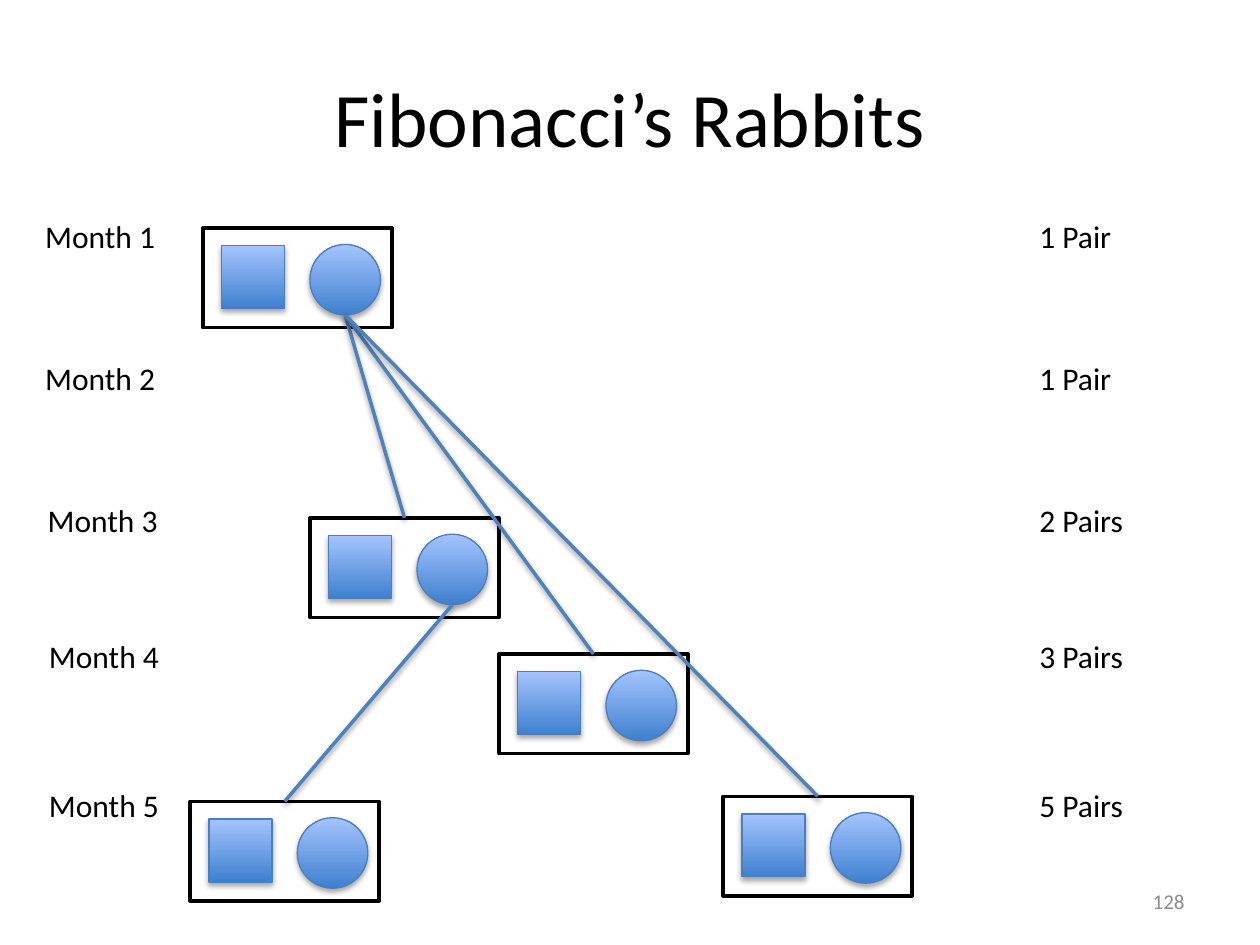
"""Build a slide that shows the family tree of Fibonacci's rabbits month by month."""
import pptx
import pptx.dml.color
import pptx.enum.shapes
import pptx.enum.text
import pptx.oxml.ns
import pptx.util
from lxml import etree

Inches = pptx.util.Inches
Pt = pptx.util.Pt
RGBColor = pptx.dml.color.RGBColor
Shape = pptx.enum.shapes.MSO_SHAPE
Align = pptx.enum.text.PP_ALIGN
Anchor = pptx.enum.text.MSO_ANCHOR
qn = pptx.oxml.ns.qn

COLORS = {
    "text": "000000",
    "number": "8C8C8C",
    "bottom": "3F80CE",
    "top": "A4C4FF",
    "outline": "4B7EBC",
    "link": "4F81BD",
}


def add_shadow(shape, distance, opacity):
    effects = etree.SubElement(shape.element.spPr, qn("a:effectLst"))
    shadow = etree.SubElement(
        effects, qn("a:outerShdw"), blurRad="40000", dist=str(Pt(distance)),
        dir="5400000", rotWithShape="0")
    color = etree.SubElement(shadow, qn("a:srgbClr"), val="000000")
    etree.SubElement(color, qn("a:alpha"), val=str(opacity * 1000))


def write_text(shape, text, size, color, alignment):
    paragraph = shape.text_frame.paragraphs[0]
    paragraph.alignment = alignment
    run = paragraph.add_run()
    run.text = text
    run.font.name = "Calibri"
    run.font.size = Pt(size)
    run.font.color.rgb = RGBColor.from_string(COLORS[color])


presentation = pptx.Presentation()
presentation.slide_width = Inches(10)
presentation.slide_height = Inches(7.5)
slide = presentation.slides.add_slide(presentation.slide_layouts[5])

title = slide.shapes.title
title.left, title.top = Inches(0.5), Inches(0.3)
title.width, title.height = Inches(9), Inches(1.25)
title.text_frame.vertical_anchor = Anchor.MIDDLE
write_text(title, "Fibonacci’s Rabbits", 44, "text", Align.CENTER)

number = slide.shapes.add_textbox(Inches(7.17), Inches(6.95), Inches(2.33), Inches(0.4))
number.text_frame.word_wrap = True
number.text_frame.vertical_anchor = Anchor.MIDDLE
write_text(number, "128", 12, "number", Align.RIGHT)

months = [
    (0.26, 1.67, "1 Pair"),
    (0.26, 2.8, "1 Pair"),
    (0.28, 3.93, "2 Pairs"),
    (0.29, 5.01, "3 Pairs"),
    (0.29, 6.19, "5 Pairs"),
]
for month, (month_left, top, pairs) in enumerate(months, start=1):
    pairs_width = 0.89 if pairs.endswith("s") else 0.78
    for left, width, text in [(month_left, 1.09, f"Month {month}"), (8.15, pairs_width, pairs)]:
        label = slide.shapes.add_textbox(Inches(left), Inches(top), Inches(width), Inches(0.4))
        label.text_frame.word_wrap = False
        label.text_frame.auto_size = pptx.enum.text.MSO_AUTO_SIZE.SHAPE_TO_FIT_TEXT
        write_text(label, text, 18, "text", Align.LEFT)

pair_positions = {
    "first": (1.61, 1.81),
    "month 3": (2.46, 4.11),
    "month 4": (3.96, 5.19),
    "grandchildren": (1.51, 6.36),
    "month 5": (5.74, 6.32),
}
rabbits = [(Shape.RECTANGLE, 0.15, 0.14, 0.5), (Shape.OVAL, 0.85, 0.13, 0.56)]
frames, females = {}, {}
for name, (left, top) in pair_positions.items():
    group = slide.shapes.add_group_shape()
    for kind, offset_x, offset_y, size in rabbits:
        rabbit = group.shapes.add_shape(
            kind, Inches(left + offset_x), Inches(top + offset_y), Inches(size), Inches(size))
        rabbit.fill.gradient()
        rabbit.fill.gradient_angle = 90
        for stop, color in zip(rabbit.fill.gradient_stops, ("bottom", "top")):
            stop.color.rgb = RGBColor.from_string(COLORS[color])
        rabbit.line.color.rgb = RGBColor.from_string(COLORS["outline"])
        rabbit.line.width = Pt(0.75)
        add_shadow(rabbit, 1.8, 35)
    females[name] = rabbit
    frame = group.shapes.add_shape(
        Shape.RECTANGLE, Inches(left), Inches(top), Inches(1.5), Inches(0.79))
    frame.shadow.inherit = False
    frame.fill.background()
    frame.line.color.rgb = RGBColor.from_string(COLORS["text"])
    frame.line.width = Pt(2)
    frames[name] = frame

births = [
    ("first", "month 3"),
    ("first", "month 4"),
    ("first", "month 5"),
    ("month 3", "grandchildren"),
]
for parent, child in births:
    mother, frame = females[parent], frames[child]
    link = slide.shapes.add_connector(
        pptx.enum.shapes.MSO_CONNECTOR.STRAIGHT,
        mother.left + mother.width // 2, mother.top + mother.height,
        frame.left + frame.width // 2, frame.top)
    link.end_connect(frame, 0)
    link.line.color.rgb = RGBColor.from_string(COLORS["link"])
    link.line.width = Pt(2)
    add_shadow(link, 1.6, 38)

presentation.save("out.pptx")
